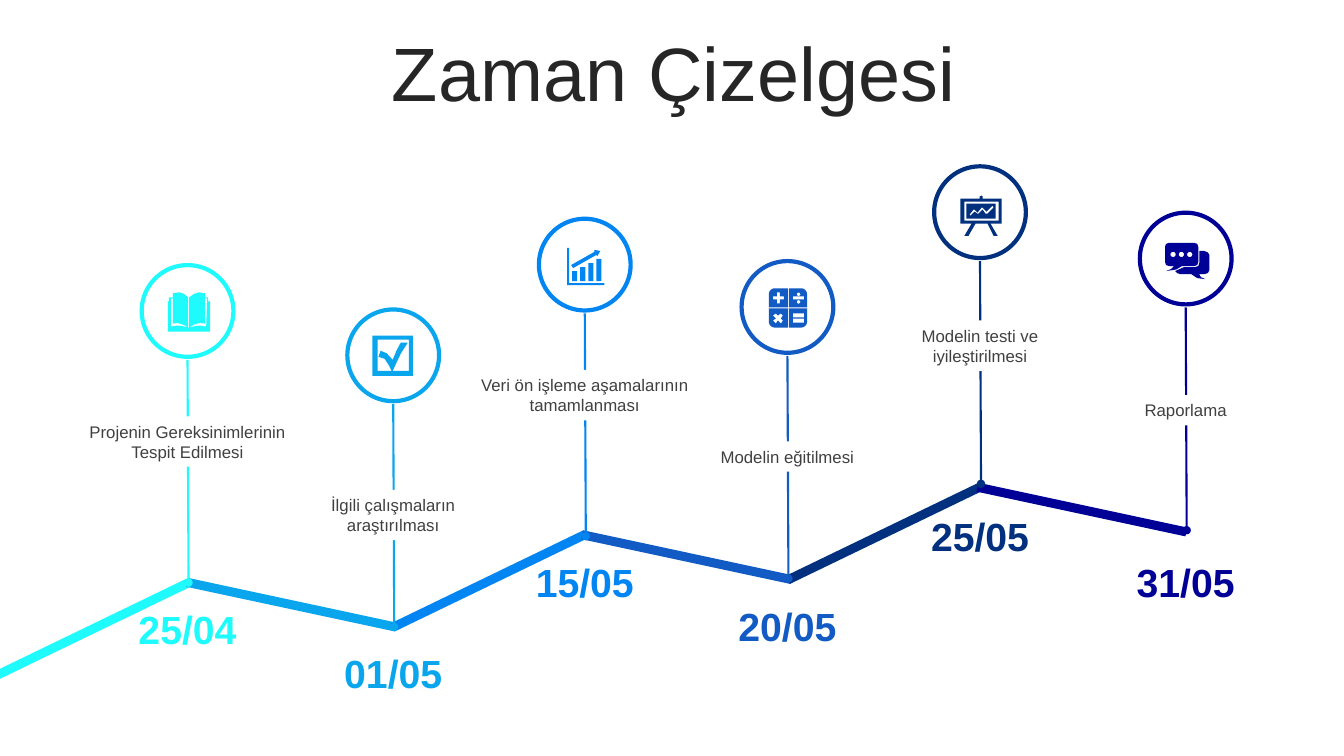
import math

import pptx
import pptx.chart.data
import pptx.dml.color
import pptx.enum.shapes
import pptx.enum.text
import pptx.oxml
import pptx.oxml.ns
import pptx.util
from pptx.dml.color import RGBColor
from pptx.util import Inches

WHITE = RGBColor(0xFF, 0xFF, 0xFF)
TITLE_GRAY = RGBColor(0x26, 0x26, 0x26)
LABEL_GRAY = RGBColor(0x40, 0x40, 0x40)
CYAN = RGBColor(0x1F, 0xFB, 0xFD)
SKY = RGBColor(0x0A, 0xA6, 0xED)
AZURE = RGBColor(0x00, 0x85, 0xF2)
COBALT = RGBColor(0x12, 0x5A, 0xC4)
NAVY = RGBColor(0x00, 0x30, 0x7E)
INDIGO = RGBColor(0x00, 0x00, 0x96)

CIRCLE_SIZE = 0.91
CIRCLE_RISE = 3.15
STEM_GAP = 0.94
DATE_SIZE = (1.56, 0.57)
LABEL_WIDTH = 2.3
SEGMENT_STEP = (1.96, -0.236)


def box(left, top, right, bottom):
    return [(left, top), (right, top), (right, bottom), (left, bottom)]


def rounded(left, top, right, bottom, radii):
    """Box outline with corner radii given clockwise from the top left."""
    points = []
    signs = [(1, 1), (-1, 1), (-1, -1), (1, -1)]
    corners = zip(box(left, top, right, bottom), signs, radii)
    for index, ((x, y), (sign_x, sign_y), radius) in enumerate(corners):
        if not radius:
            points.append((x, y))
            continue
        for step in range(7):
            angle = math.radians(180 + 90 * index + 15 * step)
            points.append((x + radius * (sign_x + math.cos(angle)),
                           y + radius * (sign_y + math.sin(angle))))
    return points


def dot(x, y, radius):
    return rounded(x - radius, y - radius, x + radius, y + radius, [radius] * 4)


# Icon outlines, in hundredths of an inch from the top left of the circle.
BOOK = [[
    (46, 62), (47, 62), (53, 60.5), (58, 60), (64, 61), (65, 33), (63, 33), (63, 58),
    (57, 57.5), (52, 59), (47, 62), (47, 32), (52, 28.5), (57, 27), (63, 28), (63, 32),
    (66, 32), (66, 36), (68, 36), (68, 66), (26, 66), (26, 36), (27, 36), (27, 32),
    (31, 32), (31, 28), (37, 27), (42, 28.5), (46, 32), (46, 62), (42, 59.5),
    (36, 57.5), (31, 58), (31, 33), (29, 33), (29, 61), (35, 60), (40, 60.3)]]
CHECKBOX = [
    box(25, 26, 65, 66),
    [(30, 30), (30, 61), (44, 61), (41, 55), (37, 49), (31, 47), (33, 41), (39, 43.5),
     (45, 50), (49, 40.5), (53, 33), (60, 33), (53, 44), (45, 61), (61, 61), (61, 30)]]
BAR_CHART = [box(33 + 8 * bar, 52 - 4 * bar, 38 + 8 * bar, 62) for bar in range(4)] + [
    [(55, 31), (61, 32), (58, 37), (57, 36), (34, 49), (32, 46), (55, 33)],
    [(28, 29), (30, 29), (30, 64), (65, 64), (65, 66), (28, 66)]]
CALCULATOR = [
    rounded(27, 27, 46, 46, (6, 0, 0, 0)), rounded(47, 27, 65, 46, (0, 6, 0, 0)),
    rounded(47, 47, 65, 66, (0, 0, 6, 0)), rounded(27, 47, 46, 66, (0, 0, 0, 6)),
    [(35, 31), (35, 35), (31, 35), (31, 38), (35, 38), (35, 42),
     (38, 42), (38, 38), (42, 38), (42, 35), (38, 35), (38, 31)],
    [(34, 52), (31, 54), (34, 57), (31, 59), (34, 62), (36, 59),
     (39, 62), (41, 59), (39, 57), (41, 54), (39, 52), (36, 54)],
    dot(56.5, 33, 1.75), dot(56.5, 40.5, 1.75),
    box(51, 35, 62, 38), box(51, 52, 62, 56), box(51, 57, 62, 61)]
BOARD = [
    [(47, 29), (48, 30), (48, 32), (67, 32), (67, 57), (56, 57), (63, 69), (59, 69),
     (53, 57), (41, 57), (34, 69), (30, 69), (37, 57), (26, 57), (26, 32), (45, 32),
     (45, 30)],
    box(30, 35, 64, 54), box(32, 37, 61, 52),
    [(58, 39), (52, 45), (48, 41), (47, 41), (43, 46), (40, 43), (39, 43), (35, 48),
     (36, 49), (40, 45), (43, 47), (44, 47), (48, 43), (51, 47), (53, 47), (59, 41)]]
CHAT = [
    [(59, 38), (64, 38), (67.5, 39.5), (69, 42), (69, 57), (67.5, 60), (64, 61), (59, 61),
     (60.5, 64), (65, 66), (57, 65), (51, 61), (40, 61), (37, 60), (35, 58), (44, 54),
     (55, 54), (58, 53), (59, 50)],
    [(29, 30), (54, 30), (57, 31), (58, 34), (58, 49), (57, 52), (54, 53), (42, 53),
     (36, 56.5), (26, 58), (31, 56), (34, 53), (29, 53), (26, 52), (25, 49), (25, 34),
     (26, 31)]] + [dot(x, 41.5, 2.6) for x in (33, 41.25, 49.5)]

# Colour, node x, node y, label top, label height, date top, date, label, icon
MILESTONES = [
    (CYAN, 1.86, 5.78, 4.13, 0.5, 5.96, "25/04",
     "Projenin Gereksinimlerinin Tespit Edilmesi", BOOK),
    (SKY, 3.9, 6.22, 4.86, 0.5, 6.39, "01/05",
     "İlgili çalışmaların araştırılması", CHECKBOX),
    (AZURE, 5.8, 5.32, 3.67, 0.5, 5.49, "15/05",
     "Veri ön işleme aşamalarının tamamlanması", BAR_CHART),
    (COBALT, 7.81, 5.74, 4.38, 0.3, 5.93, "20/05", "Modelin eğitilmesi", CALCULATOR),
    (NAVY, 9.72, 4.8, 3.18, 0.5, 5.03, "25/05",
     "Modelin testi ve iyileştirilmesi", BOARD),
    (INDIGO, 11.76, 5.26, 3.92, 0.3, 5.49, "31/05", "Raporlama", CHAT),
]


def paint(shape, color):
    shape.shadow.inherit = False
    shape.fill.solid()
    shape.fill.fore_color.rgb = color
    shape.line.fill.background()


def add_text(slide, left, top, width, height, text, size, color, bold=False):
    shape = slide.shapes.add_textbox(*map(Inches, (left, top, width, height)))
    shape.text_frame.word_wrap = True
    shape.text_frame.text = text
    paragraph = shape.text_frame.paragraphs[0]
    paragraph.alignment = pptx.enum.text.PP_ALIGN.CENTER
    font = paragraph.runs[0].font
    font.name, font.size, font.bold = "Arial", pptx.util.Pt(size), bold
    font.color.rgb = color
    return shape


def add_title(slide, left, top, width, height):
    title = add_text(slide, left, top, width, height, "Zaman Çizelgesi", 54, TITLE_GRAY)
    title.text_frame.vertical_anchor = pptx.enum.text.MSO_ANCHOR.MIDDLE
    title.text_frame.paragraphs[0].line_spacing = 0.9


def add_path_segments(slide, left, top):
    """Zigzag of bars, one for each milestone, rising to the right."""
    for index, milestone in enumerate(MILESTONES):
        bar = slide.shapes.add_shape(
            pptx.enum.shapes.MSO_SHAPE.RECTANGLE,
            Inches(left + SEGMENT_STEP[0] * index), Inches(top + SEGMENT_STEP[1] * index),
            Inches(2.12), Inches(0.09))
        bar.rotation = 12.1 if index % 2 else -25.8
        paint(bar, milestone[0])


def add_stem(slide, x, top, bottom, color):
    stem = slide.shapes.add_connector(
        pptx.enum.shapes.MSO_CONNECTOR.STRAIGHT,
        Inches(x), Inches(top), Inches(x + 0.01), Inches(bottom))
    stem.line.color.rgb = color
    stem.line.width = pptx.util.Pt(1.5)
    namespace = pptx.oxml.ns.nsdecls("a")
    stem.line._get_or_add_ln().append(
        pptx.oxml.parse_xml(f'<a:tailEnd {namespace} type="oval"/>'))
    stem._element.spPr.append(pptx.oxml.parse_xml(f"<a:effectLst {namespace}/>"))


def add_icon(slide, left, top, contours, color):
    scaled = [[(10 * x, 10 * y) for x, y in contour] for contour in contours]
    builder = slide.shapes.build_freeform(*scaled[0][0], scale=914.4)
    for index, contour in enumerate(scaled):
        if index:
            builder.move_to(*contour[0])
        builder.add_line_segments(contour[1:], close=True)
    paint(builder.convert_to_shape(Inches(left), Inches(top)), color)


def add_milestone(slide, color, x, node_y, label_top, label_height, date_top, date,
                  label, icon):
    left, top = x - CIRCLE_SIZE / 2, node_y - CIRCLE_RISE
    circle = slide.shapes.add_shape(
        pptx.enum.shapes.MSO_SHAPE.OVAL,
        *map(Inches, (left, top, CIRCLE_SIZE, CIRCLE_SIZE)))
    circle.shadow.inherit = False
    circle.fill.background()
    circle.line.color.rgb = color
    circle.line.width = pptx.util.Pt(3)
    add_stem(slide, x, top + STEM_GAP, node_y, color)
    add_icon(slide, left, top, icon, color)
    add_text(slide, x - DATE_SIZE[0] / 2, date_top, *DATE_SIZE, date, 28, color, bold=True)
    caption = add_text(slide, x - LABEL_WIDTH / 2, label_top, LABEL_WIDTH, label_height,
                       label, 12, LABEL_GRAY)
    caption.fill.solid()
    caption.fill.fore_color.rgb = WHITE


def main():
    presentation = pptx.Presentation()
    presentation.slide_width, presentation.slide_height = Inches(13.33), Inches(7.5)
    slide = presentation.slides.add_slide(presentation.slide_layouts[6])
    add_title(slide, 0.35, 0.37, 12.66, 0.79)
    add_path_segments(slide, -0.13, 6.19)
    for milestone in MILESTONES:
        add_milestone(slide, *milestone)
    presentation.save("out.pptx")


if __name__ == "__main__":
    main()
